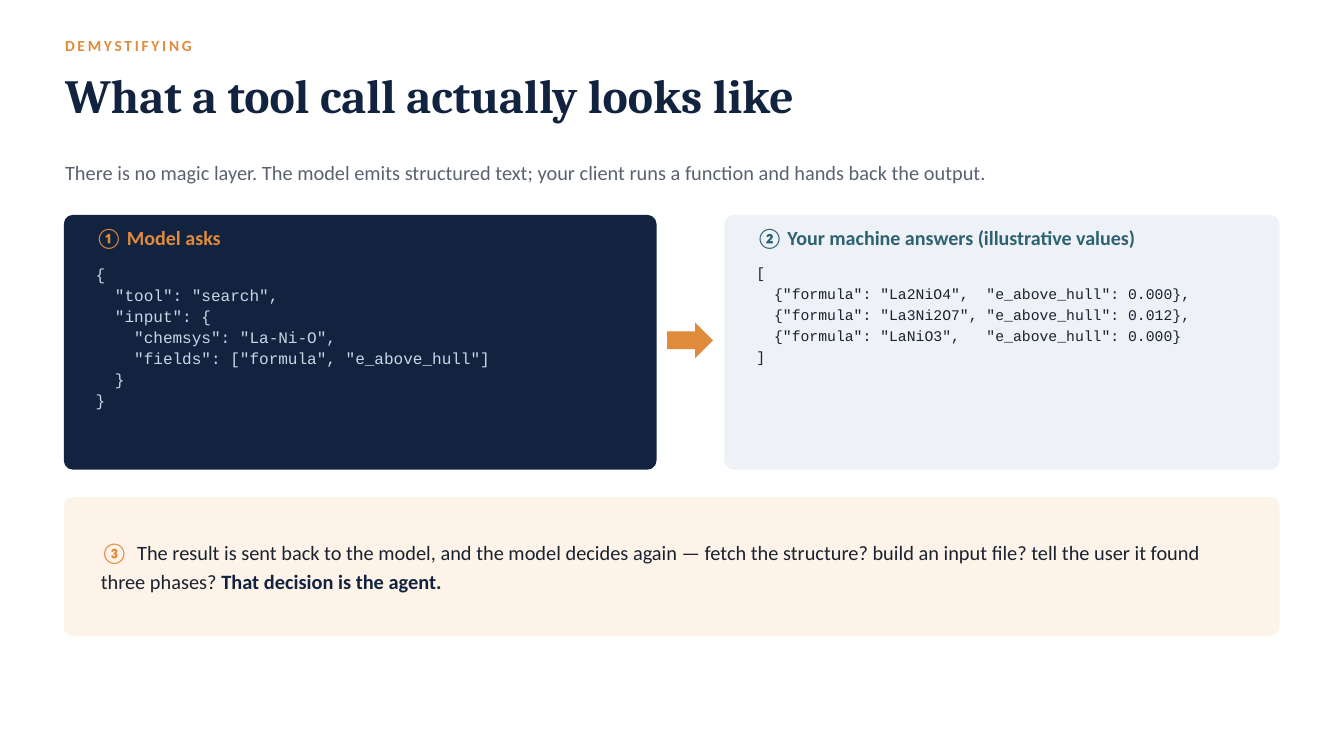
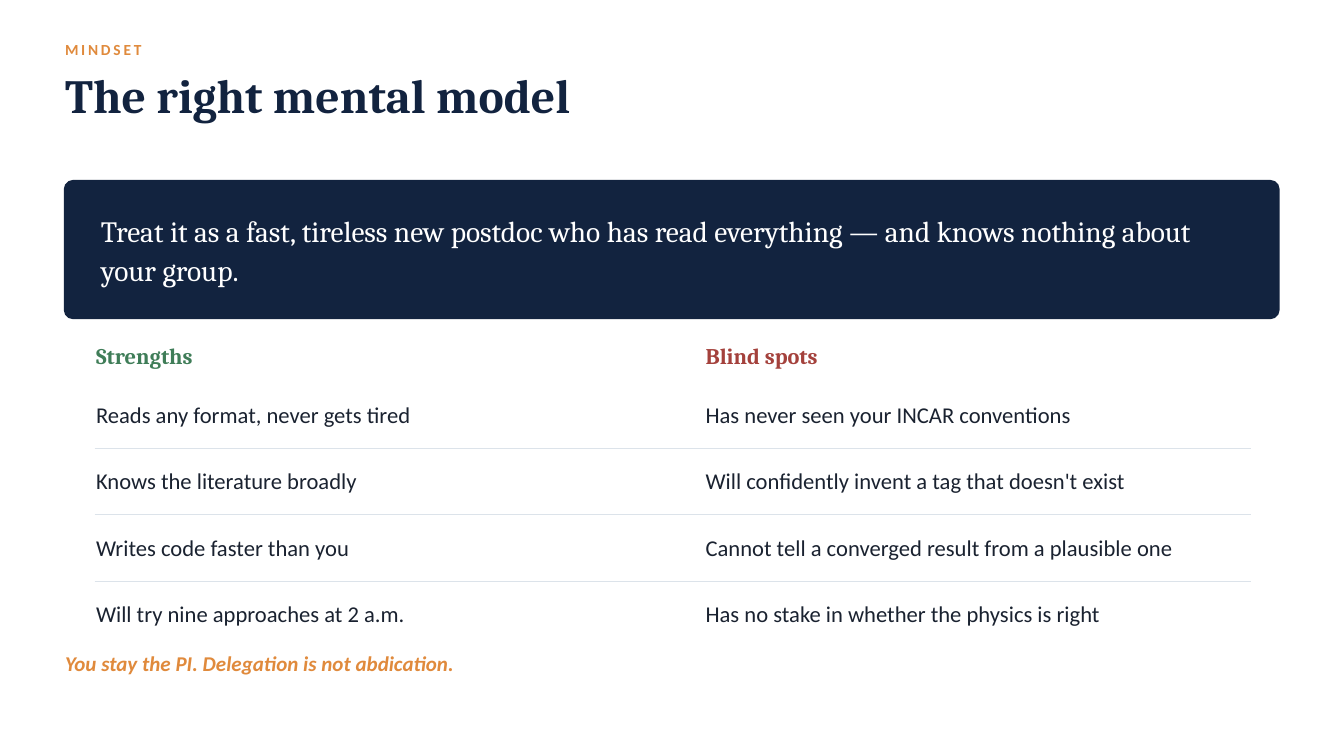
from dataclasses import dataclass, replace
from typing import NamedTuple

from lxml.etree import SubElement
from pptx import Presentation
from pptx.dml.color import RGBColor
from pptx.enum.shapes import MSO_CONNECTOR, MSO_SHAPE
from pptx.enum.text import MSO_ANCHOR, MSO_AUTO_SIZE, PP_ALIGN
from pptx.oxml.ns import qn
from pptx.util import Cm, Pt

# Palette and fonts
NAVY, ORANGE, TEAL = "12233F", "E08A3C", "2E6171"
GREEN, RED = "3F7D58", "A4413C"
INK, GREY, PALE_CODE = "1A2230", "5A6270", "C9D6E3"
MIST, CREAM, RULE, WHITE = "EEF2F6", "FDF3E8", "DCE3EA", "FFFFFF"
SANS, SERIF, MONO = "Calibri", "Cambria", "Courier New"


class Box(NamedTuple):
    """Left, top, width and height in centimetres."""
    left: float
    top: float
    width: float
    height: float

    def lengths(self) -> list:
        return [Cm(value) for value in self]


class Span(NamedTuple):
    text: str
    color: str
    bold: bool = False
    spacing: float = 0


@dataclass(frozen=True)
class Style:
    font: str
    size: float
    color: str
    leading: float
    bold: bool = False
    italic: bool = False
    spacing: float = 0
    anchor: MSO_ANCHOR = MSO_ANCHOR.TOP


@dataclass(frozen=True)
class CodePanel:
    box: Box
    fill: str
    heading: str
    heading_color: str
    code: str
    code_top: float
    code_style: Style


@dataclass(frozen=True)
class Column:
    left: float
    heading: str
    color: str
    items: tuple


# Shared text styles
KICKER = Style(SANS, 16.5, ORANGE, 19.8, bold=True, spacing=3)
TITLE = Style(SERIF, 51, NAVY, 61.2, bold=True)
LEAD = Style(SANS, 21.8, GREY, 26.1)
PANEL_HEADING = Style(SANS, 21.5, ORANGE, 21.6, bold=True)
REQUEST_CODE = Style(MONO, 17.2, PALE_CODE, 22.5)
RESPONSE_CODE = Style(MONO, 15.8, INK, 22.5)
BAND_BODY = Style(SANS, 21.8, INK, 31.5, anchor=MSO_ANCHOR.MIDDLE)
BAND_QUOTE = Style(SERIF, 31.5, WHITE, 42, anchor=MSO_ANCHOR.MIDDLE)
COLUMN_HEADING = Style(SERIF, 24, GREEN, 28.8, bold=True)
COLUMN_ITEM = Style(SANS, 24.2, INK, 29.2, anchor=MSO_ANCHOR.MIDDLE)
CLOSING = Style(SANS, 22.5, ORANGE, 27, bold=True, italic=True)

# Shared geometry in centimetres
MARGIN, TEXT_WIDTH = 2.46, 45.72
PANEL_LEFT, BAND_WIDTH, BAND_HEIGHT = 2.44, 45.9, 5.21
CORNER = 0.32
PANEL_INDENT = 1.18
ROW_TOP, ROW_PITCH, ROW_HEIGHT = 14.58, 2.51, 2.18
COLUMN_WIDTH = 20.57
RULE_LEFT, RULE_RIGHT, RULE_TOP = 3.58, 47.27, 16.94

REQUEST = """{
  "tool": "search",
  "input": {
    "chemsys": "La-Ni-O",
    "fields": ["formula", "e_above_hull"]
  }
}"""
RESPONSE = """[
  {"formula": "La2NiO4",  "e_above_hull": 0.000},
  {"formula": "La3Ni2O7", "e_above_hull": 0.012},
  {"formula": "LaNiO3",   "e_above_hull": 0.000}
]"""

PANELS = (
    CodePanel(Box(PANEL_LEFT, 8.15, 22.35, 9.58), NAVY, "① Model asks", ORANGE,
              REQUEST, 9.93, REQUEST_CODE),
    CodePanel(Box(27.41, 8.15, 20.93, 9.58), MIST,
              "② Your machine answers (illustrative values)", TEAL,
              RESPONSE, 9.86, RESPONSE_CODE),
)

COLUMNS = (
    Column(3.63, "Strengths", GREEN, (
        "Reads any format, never gets tired",
        "Knows the literature broadly",
        "Writes code faster than you",
        "Will try nine approaches at 2 a.m.")),
    Column(26.67, "Blind spots", RED, (
        "Has never seen your INCAR conventions",
        "Will confidently invent a tag that doesn't exist",
        "Cannot tell a converged result from a plausible one",
        "Has no stake in whether the physics is right")),
)


def rgb(color: str) -> RGBColor:
    return RGBColor.from_string(color)


def set_spacing(run, points: float) -> None:
    if points:
        run._r.get_or_add_rPr().set("spc", str(round(points * 100)))


def write(shape, lines: list, style: Style) -> None:
    """Fill a shape with lines; a line is a string or a list of spans."""
    frame = shape.text_frame
    frame.word_wrap = True
    frame.auto_size = MSO_AUTO_SIZE.NONE
    frame.vertical_anchor = style.anchor
    frame.margin_left = frame.margin_right = 0
    frame.margin_top = frame.margin_bottom = 0
    for index, line in enumerate(lines):
        paragraph = frame.add_paragraph() if index else frame.paragraphs[0]
        paragraph.alignment = PP_ALIGN.LEFT
        paragraph.line_spacing = Pt(style.leading)
        paragraph.space_before = Pt(0)
        font = paragraph.font
        font.name, font.size = style.font, Pt(style.size)
        font.bold, font.italic = style.bold, style.italic
        font.color.rgb = rgb(style.color)
        if isinstance(line, str):
            run = paragraph.add_run()
            run.text = line
            set_spacing(run, style.spacing)
            continue
        for span in line:
            run = paragraph.add_run()
            run.text = span.text
            run.font.bold = span.bold
            run.font.color.rgb = rgb(span.color)
            set_spacing(run, span.spacing)


def add_text(slide, box: Box, lines: list, style: Style) -> None:
    write(slide.shapes.add_textbox(*box.lengths()), lines, style)


def add_panel(slide, box: Box, fill: str) -> None:
    panel = slide.shapes.add_shape(MSO_SHAPE.ROUNDED_RECTANGLE, *box.lengths())
    panel.adjustments[0] = CORNER / min(box.width, box.height)
    panel.shadow.inherit = False
    panel.fill.solid()
    panel.fill.fore_color.rgb = rgb(fill)
    panel.line.color.rgb = rgb(fill)
    panel.line.width = Pt(1.5)


def add_band(slide, top: float, fill: str, line, style: Style,
             text_top: float, text_height: float) -> None:
    add_panel(slide, Box(PANEL_LEFT, top, BAND_WIDTH, BAND_HEIGHT), fill)
    add_text(slide, Box(3.81, text_top, 43.05, text_height), [line], style)


def add_code_panel(slide, panel: CodePanel) -> None:
    box = panel.box
    left, width = box.left + PANEL_INDENT, box.width - 2 * PANEL_INDENT
    add_panel(slide, box, panel.fill)
    add_text(slide, Box(left, 8.66, width, 1.24), [panel.heading],
             replace(PANEL_HEADING, color=panel.heading_color))
    add_text(slide, Box(left, panel.code_top, width, 7.11),
             panel.code.split("\n"), panel.code_style)


def add_arrow(slide, box: Box) -> None:
    arrow = slide.shapes.add_shape(MSO_SHAPE.RIGHT_ARROW, *box.lengths())
    arrow.shadow.inherit = False
    arrow.fill.solid()
    arrow.fill.fore_color.rgb = rgb(ORANGE)
    arrow.line.fill.background()


def add_rule(slide, top: float) -> None:
    rule = slide.shapes.add_connector(
        MSO_CONNECTOR.STRAIGHT, Cm(RULE_LEFT), Cm(top), Cm(RULE_RIGHT), Cm(top))
    rule.line.color.rgb = rgb(RULE)
    rule.line.width = Pt(0.75)
    SubElement(rule._element.spPr, qn("a:effectLst"))


def add_titled_slide(presentation, kicker: str, title: str, kicker_leading: float):
    slide = presentation.slides.add_slide(presentation.slide_layouts[5])
    heading = slide.shapes.title
    heading.left, heading.top, heading.width, heading.height = Box(
        MARGIN, 2.49, TEXT_WIDTH, 3.28).lengths()
    write(heading, [title], TITLE)
    add_text(slide, Box(MARGIN, 1.37, 41.91, 1.14), [kicker],
             replace(KICKER, leading=kicker_leading))
    return slide


def build_tool_call(presentation) -> None:
    slide = add_titled_slide(presentation, "DEMYSTIFYING",
                             "What a tool call actually looks like", 19.8)
    add_text(slide, Box(MARGIN, 6.05, TEXT_WIDTH, 1.65), [
        "There is no magic layer. The model emits structured text; "
        "your client runs a function and hands back the output."], LEAD)
    for panel in PANELS:
        add_code_panel(slide, panel)
    add_arrow(slide, Box(25.22, 12.19, 1.73, 1.35))
    add_band(slide, 18.82, CREAM, [
        Span("③ ", ORANGE, bold=True, spacing=2.5),
        Span("The result is sent back to the model, and the model decides again — "
             "fetch the structure? build an input file? tell the user it found "
             "three phases? ", INK),
        Span("That decision is the agent.", NAVY, bold=True),
    ], BAND_BODY, 19.43, 3.81)


def build_mental_model(presentation) -> None:
    slide = add_titled_slide(presentation, "MINDSET", "The right mental model", 23.8)
    add_band(slide, 6.83, NAVY,
             "Treat it as a fast, tireless new postdoc who has read everything — "
             "and knows nothing about your group.", BAND_QUOTE, 7.32, 4.11)
    # Two columns of statements
    for column in COLUMNS:
        add_text(slide, Box(column.left, 12.93, COLUMN_WIDTH, 1.3),
                 [column.heading], replace(COLUMN_HEADING, color=column.color))
        for row, item in enumerate(column.items):
            top = ROW_TOP + row * ROW_PITCH
            add_text(slide, Box(column.left, top, COLUMN_WIDTH, ROW_HEIGHT),
                     [item], COLUMN_ITEM)
    # Rules between the rows
    for row in range(len(COLUMNS[0].items) - 1):
        add_rule(slide, RULE_TOP + row * ROW_PITCH)
    add_text(slide, Box(MARGIN, 24.61, TEXT_WIDTH, 1.68),
             ["You stay the PI. Delegation is not abdication."], CLOSING)


def main() -> None:
    presentation = Presentation()
    presentation.slide_width, presentation.slide_height = Cm(50.8), Cm(28.58)
    build_tool_call(presentation)
    build_mental_model(presentation)
    presentation.save("out.pptx")


if __name__ == "__main__":
    main()
